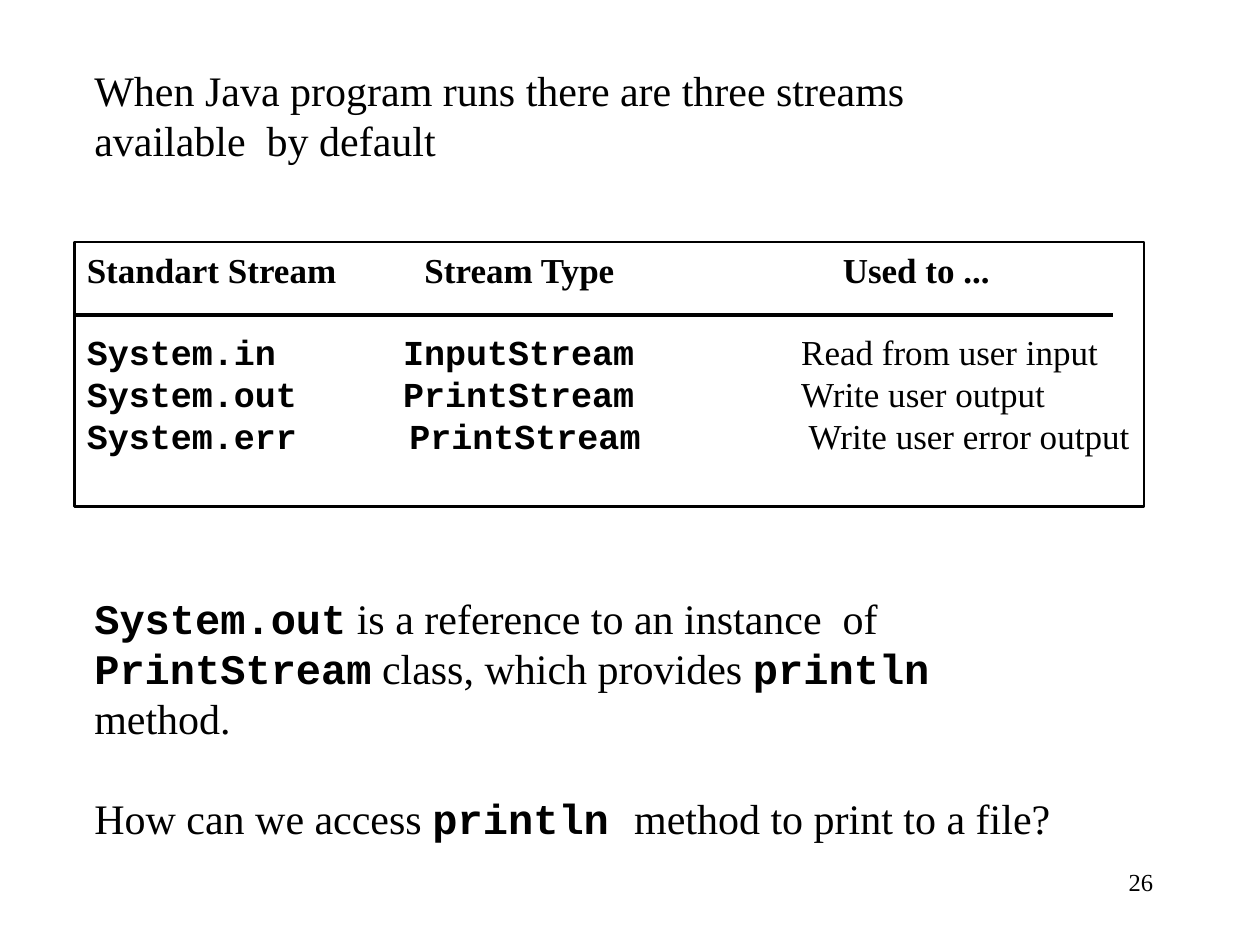
"""Build a slide on the three default Java streams."""
from lxml.etree import SubElement
from pptx import Presentation
from pptx.dml.color import RGBColor
from pptx.enum.shapes import MSO_CONNECTOR, MSO_SHAPE
from pptx.enum.text import MSO_ANCHOR, PP_ALIGN
from pptx.oxml.ns import qn
from pptx.util import Inches, Pt

COLORS = {"ink": "000000"}
SERIF, MONO = "Times New Roman", "Courier New"

INTRO = [
    [("When Java program runs there are three streams", SERIF, False)],
    [("available  by default", SERIF, False)],
]
HEADS = ["Standart Stream", "Stream Type", "Used to ..."]
STREAMS = [
    ("System.in", "InputStream", "Read from user input", (2.51, 5.67)),
    ("System.out", "PrintStream", "Write user output", (2.51, 5.67)),
    ("System.err", "PrintStream", "Write user error output", (2.56, 5.73)),
]
HEAD_TABS = (2.68, 6)
NOTES = [
    [("System.out", MONO, True), (" is a reference to an instance  of", SERIF, False)],
    [("PrintStream", MONO, True), (" class, which provides ", SERIF, False),
     ("println", MONO, True), (" method.", SERIF, False)],
    [("How can we access ", SERIF, False), ("println ", MONO, True),
     ("method to print to a file?", SERIF, False)],
]
NUMBER = [[("26", SERIF, False)]]


def ink():
    return RGBColor.from_string(COLORS["ink"])


def set_tabs(para, stops):
    tabs = SubElement(para._p.get_or_add_pPr(), qn("a:tabLst"))
    for stop in stops:
        SubElement(tabs, qn("a:tab"), pos=str(Inches(stop)), algn="l")


def write(shape, lines, size, tabs=(), gaps=None, align=PP_ALIGN.LEFT):
    frame = shape.text_frame
    frame.vertical_anchor = MSO_ANCHOR.TOP
    for i, line in enumerate(lines):
        para = frame.paragraphs[0] if i == 0 else frame.add_paragraph()
        para.alignment = align
        if gaps and i in gaps:
            para.space_before = Pt(gaps[i])
        if tabs:
            set_tabs(para, tabs[i])
        for text, face, bold in line:
            run = para.add_run()
            run.text = text
            font = run.font
            font.name, font.size, font.bold = face, Pt(size), bold
            font.color.rgb = ink()


def add_text(slide, place, lines, size, wrap=False, **style):
    box = slide.shapes.add_textbox(*map(Inches, place))
    box.text_frame.word_wrap = wrap
    write(box, lines, size, **style)


def add_streams(slide):
    frame = slide.shapes.add_shape(
        MSO_SHAPE.RECTANGLE, *map(Inches, (0.59, 1.92, 8.49, 2.1)))
    frame.shadow.inherit = False
    frame.fill.background()
    frame.line.color.rgb = ink()
    frame.line.width = Pt(1.5)
    frame.text_frame.word_wrap = True
    frame.text_frame.margin_right = 0
    lines = [[("\t".join(HEADS), SERIF, True)]]
    lines += [[(f"{name}\t{kind}\t", MONO, True), (use, SERIF, False)]
              for name, kind, use, _ in STREAMS]
    tabs = [HEAD_TABS] + [row[-1] for row in STREAMS]
    write(frame, lines, 20, tabs=tabs, gaps={1: 23})

    rule = slide.shapes.add_connector(
        MSO_CONNECTOR.STRAIGHT, *map(Inches, (0.58, 2.5, 8.83, 2.5)))
    rule.line.color.rgb = ink()
    rule.line.width = Pt(2)
    SubElement(rule._element.spPr, qn("a:effectLst"))


def main():
    deck = Presentation()
    deck.slide_width, deck.slide_height = Inches(10), Inches(7.5)
    slide = deck.slides.add_slide(deck.slide_layouts[6])
    add_text(slide, (0.65, 0.46, 6.71, 0.9), INTRO, 24)
    add_streams(slide)
    add_text(slide, (0.65, 4.65, 7.99, 2.1), NOTES, 24, gaps={2: 28})
    add_text(slide, (7.17, 6.83, 2.08, 0.5), NUMBER, 14, wrap=True,
             align=PP_ALIGN.RIGHT)
    deck.save("out.pptx")


if __name__ == "__main__":
    main()
